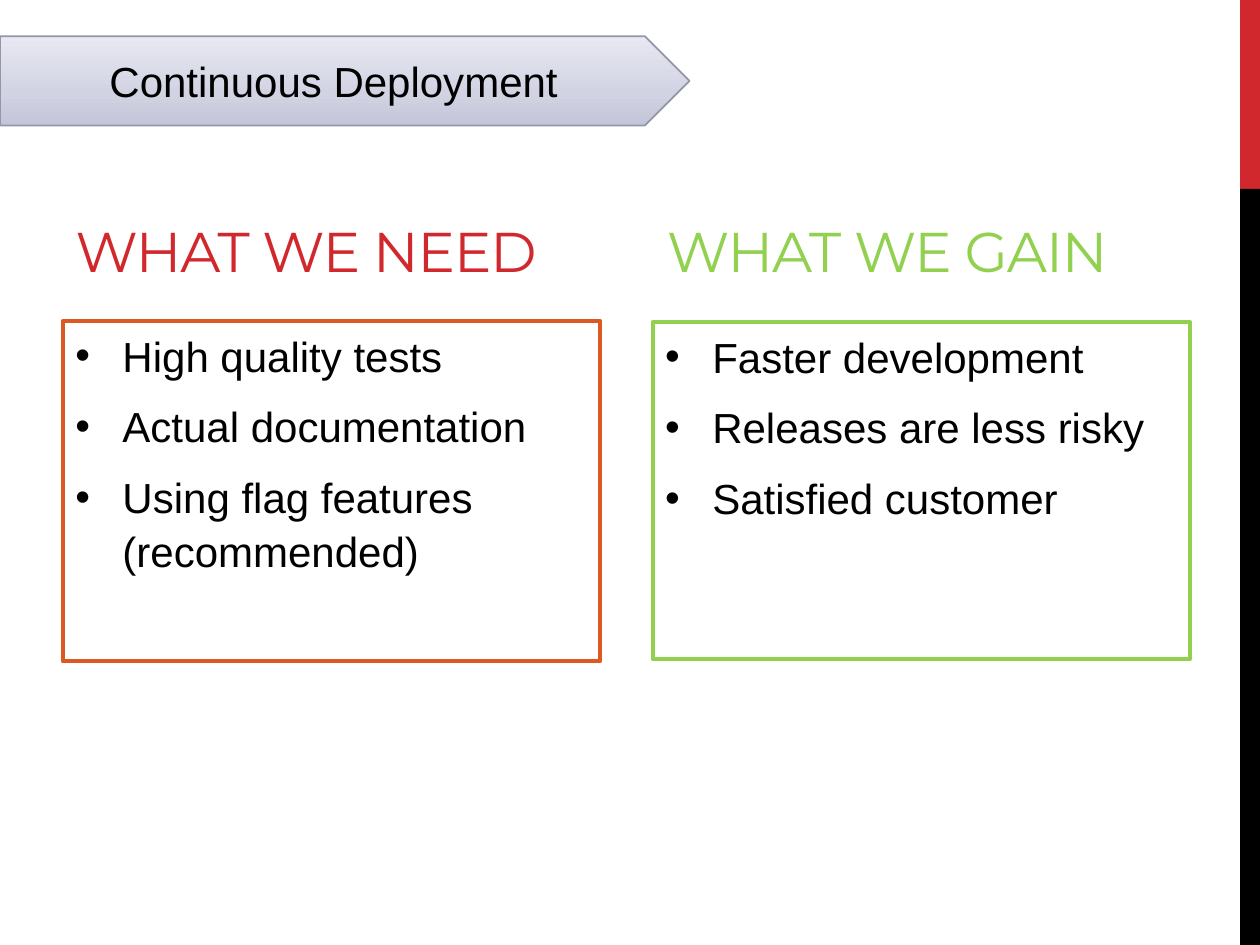
from copy import deepcopy

from lxml.etree import SubElement
from pptx import Presentation
from pptx.dml.color import RGBColor
from pptx.enum.shapes import MSO_SHAPE
from pptx.enum.text import MSO_ANCHOR, MSO_AUTO_SIZE, PP_ALIGN
from pptx.oxml.ns import qn
from pptx.util import Cm, Pt

COLORS = {
    "red": "D1282E",
    "orange": "DC5924",
    "green": "92D050",
    "black": "000000",
    "white": "FFFFFF",
    "banner line": "9496A9",
}
BANNER_STOPS = [(0, "C3C5D9"), (0.35, "D1D3E3"), (1, "E8E8F1")]
NEEDS = ["High quality tests", "Actual documentation",
         "Using flag features (recommended)"]
GAINS = ["Faster development", "Releases are less risky", "Satisfied customer"]


def color(name):
    return RGBColor.from_string(COLORS[name])


def style_text(para, font_name, size, color_name):
    for span in para.runs:
        span.font.name = font_name
        span.font.size = Pt(size)
        span.font.color.rgb = color(color_name)


def add_block(page, kind, box, fill_name, line_name=None, line_width=1):
    block = page.shapes.add_shape(kind, *map(Cm, box))
    block.shadow.inherit = False
    block.fill.solid()
    block.fill.fore_color.rgb = color(fill_name)
    if line_name:
        block.line.color.rgb = color(line_name)
        block.line.width = Pt(line_width)
    else:
        block.line.fill.background()
    return block


def add_side_bar(page, box):
    """Red over black strip along the right edge."""
    left, top, width, height = box
    red_height = height / 5
    add_block(page, MSO_SHAPE.RECTANGLE, (left, top, width, red_height), "red")
    add_block(page, MSO_SHAPE.RECTANGLE,
              (left, top + red_height, width, height - red_height), "black")


def add_banner(page, box, text):
    """Gradient arrow naming the topic."""
    banner = add_block(page, MSO_SHAPE.PENTAGON, box, "white", "banner line")
    banner.fill.gradient()
    banner.fill.gradient_angle = 90
    first_stop = banner._element.spPr.find(".//" + qn("a:gs"))
    first_stop.addnext(deepcopy(first_stop))
    for stop, (position, hex_value) in zip(banner.fill.gradient_stops, BANNER_STOPS):
        stop.position = position
        stop.color.rgb = RGBColor.from_string(hex_value)
    frame = banner.text_frame
    frame.text = text
    frame.vertical_anchor = MSO_ANCHOR.MIDDLE
    frame.paragraphs[0].alignment = PP_ALIGN.CENTER
    style_text(frame.paragraphs[0], "Arial", 24, "black")


def format_heading(heading, box, text, color_name):
    heading.left, heading.top, heading.width, heading.height = map(Cm, box)
    frame = heading.text_frame
    frame.text = text
    frame.word_wrap = True
    frame.auto_size = MSO_AUTO_SIZE.NONE
    frame.vertical_anchor = MSO_ANCHOR.BOTTOM
    para = frame.paragraphs[0]
    para.alignment = PP_ALIGN.LEFT
    style_text(para, "Montserrat", 32, color_name)
    para.runs[0].font._element.set("spc", "-60")


def add_bullet_list(page, box, items, line_name):
    """Outlined panel of bulleted lines."""
    panel = add_block(page, MSO_SHAPE.RECTANGLE, box, "white", line_name, 2.25)
    frame = panel.text_frame
    frame.text = "\n".join(items)
    frame.word_wrap = True
    frame.vertical_anchor = MSO_ANCHOR.TOP
    for para in frame.paragraphs:
        para.alignment = PP_ALIGN.LEFT
        para.line_spacing = 1.06
        para.space_before = Pt(4)
        para.space_after = Pt(6)
        style_text(para, "Arial", 24, "black")
        properties = para._p.get_or_add_pPr()
        properties.set("marL", str(Cm(0.95)))
        properties.set("indent", str(-Cm(0.95)))
        SubElement(properties, qn("a:buFont"), typeface="Arial")
        SubElement(properties, qn("a:buChar"), char="•")


def main():
    deck = Presentation()
    deck.slide_width, deck.slide_height = Cm(25.4), Cm(19.05)
    page = deck.slides.add_slide(deck.slide_layouts[5])

    add_side_bar(page, (25, 0, 0.4, 19.05))

    # Left column: needs
    format_heading(page.shapes.title, (1.27, 3.33, 11.02, 2.51),
                   "WHAT WE NEED", "red")
    add_bullet_list(page, (1.27, 6.47, 10.83, 6.86), NEEDS, "orange")

    # Right column: gains
    gain_heading = page.shapes.add_textbox(0, 0, 0, 0)
    format_heading(gain_heading, (13.2, 3.33, 11.02, 2.51),
                   "WHAT WE GAIN", "green")
    add_bullet_list(page, (13.16, 6.49, 10.83, 6.8), GAINS, "green")

    add_banner(page, (0, 0.73, 13.9, 1.8), "Continuous Deployment")
    deck.save("out.pptx")


if __name__ == "__main__":
    main()
